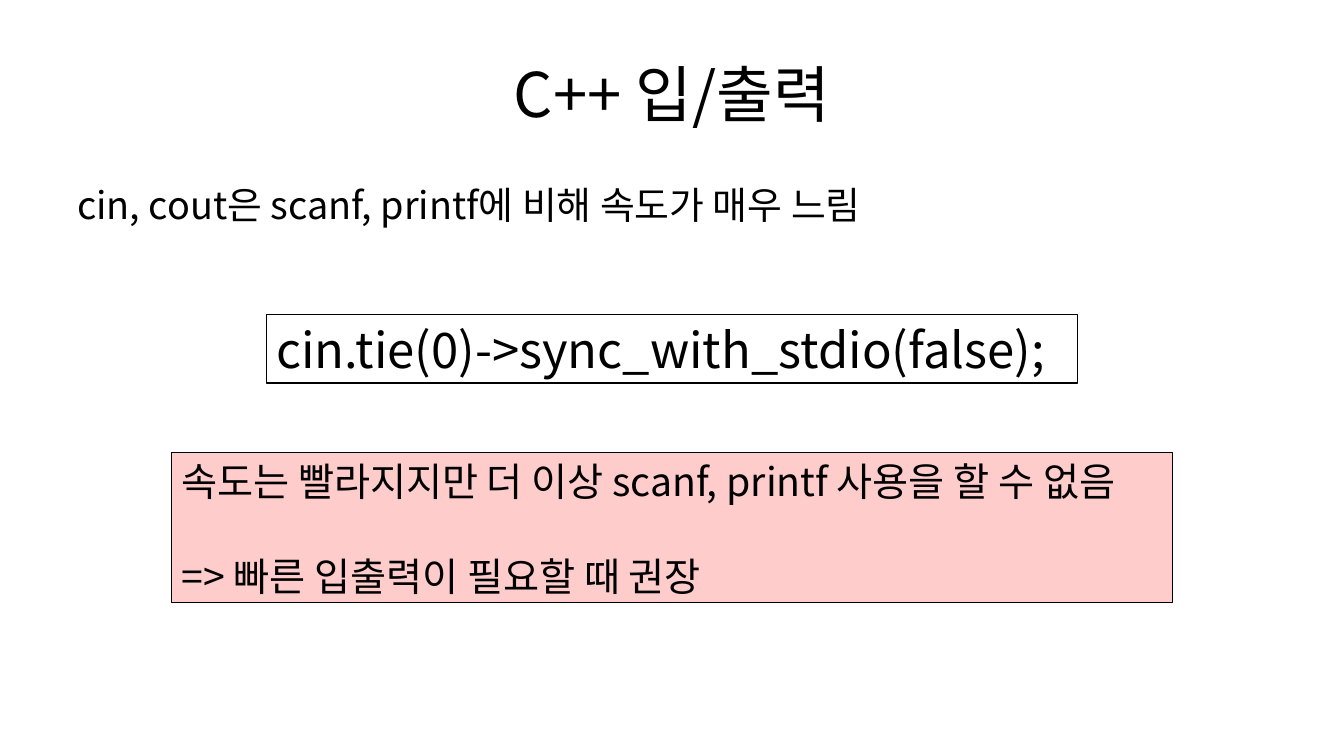
from dataclasses import dataclass
from lxml.etree import SubElement
from pptx import Presentation
from pptx.dml.color import RGBColor
from pptx.enum.shapes import MSO_SHAPE
from pptx.enum.text import MSO_ANCHOR, PP_ALIGN
from pptx.oxml.ns import qn
from pptx.util import Inches, Pt


@dataclass(frozen=True)
class Theme:
    font: str = "Noto Sans CJK KR"
    ink: str = "000000"
    warn: str = "FFCCCC"
    title: int = 44
    body: int = 27
    code: int = 35
    note: int = 28
    gap: int = 34
    rule: float = 0.75


THEME = Theme()
WIDE, HIGH = 13.33, 7.5
EDGE = 0.05 * WIDE  # left and right slide margin


def color(code):
    return RGBColor.from_string(code)


def place(left, top, width, height):
    return [Inches(n) for n in (left, top, width, height)]


def center(top, width, height):
    return place((WIDE - width) / 2, top, width, height)


def write(shape, text, size, align=PP_ALIGN.LEFT, anchor=MSO_ANCHOR.TOP, gap=0):
    """Fill a shape with one paragraph per line of text."""
    frame = shape.text_frame
    frame.word_wrap = True
    frame.vertical_anchor = anchor
    frame.text = text
    for row, para in enumerate(frame.paragraphs):
        para.alignment = align
        para.space_before = Pt(gap if row else 0)
        for run in para.runs:
            font = run.font
            font.name, font.size = THEME.font, Pt(size)
            font.color.rgb = color(THEME.ink)
            # Hangul takes its face from the East Asian slot
            SubElement(font._element, qn("a:ea"), typeface=THEME.font)


def panel(slide, area, text, size, fill=None, **form):
    """Draw an outlined box with text."""
    box = slide.shapes.add_shape(MSO_SHAPE.RECTANGLE, *area)
    box.shadow.inherit = False
    if fill:
        box.fill.solid()
        box.fill.fore_color.rgb = color(fill)
    else:
        box.fill.background()
    box.line.color.rgb = color(THEME.ink)
    box.line.width = Pt(THEME.rule)
    write(box, text, size, **form)


def main():
    deck = Presentation()
    deck.slide_width, deck.slide_height = Inches(WIDE), Inches(HIGH)
    slide = deck.slides.add_slide(deck.slide_layouts[5])
    span = WIDE - 2 * EDGE

    # Title
    head = slide.shapes.title
    head.left, head.top, head.width, head.height = place(EDGE, 0.04 * HIGH, span, HIGH / 6)
    write(head, "C++ 입/출력", THEME.title, align=PP_ALIGN.CENTER, anchor=MSO_ANCHOR.MIDDLE)

    # Problem statement
    body = slide.shapes.add_textbox(*place(EDGE, 1.75, span, 0.66 * HIGH))
    write(body, "cin, cout은 scanf, printf에 비해 속도가 매우 느림", THEME.body)

    # Code line, then its caveat
    panel(slide, center(3.12, 8.05, 0.68), "cin.tie(0)->sync_with_stdio(false);", THEME.code)
    panel(slide, center(4.49, 9.93, 1.49),
          "속도는 빨라지지만 더 이상 scanf, printf 사용을 할 수 없음\n"
          "=> 빠른 입출력이 필요할 때 권장",
          THEME.note, fill=THEME.warn, gap=THEME.gap)

    deck.save("out.pptx")


if __name__ == "__main__":
    main()
